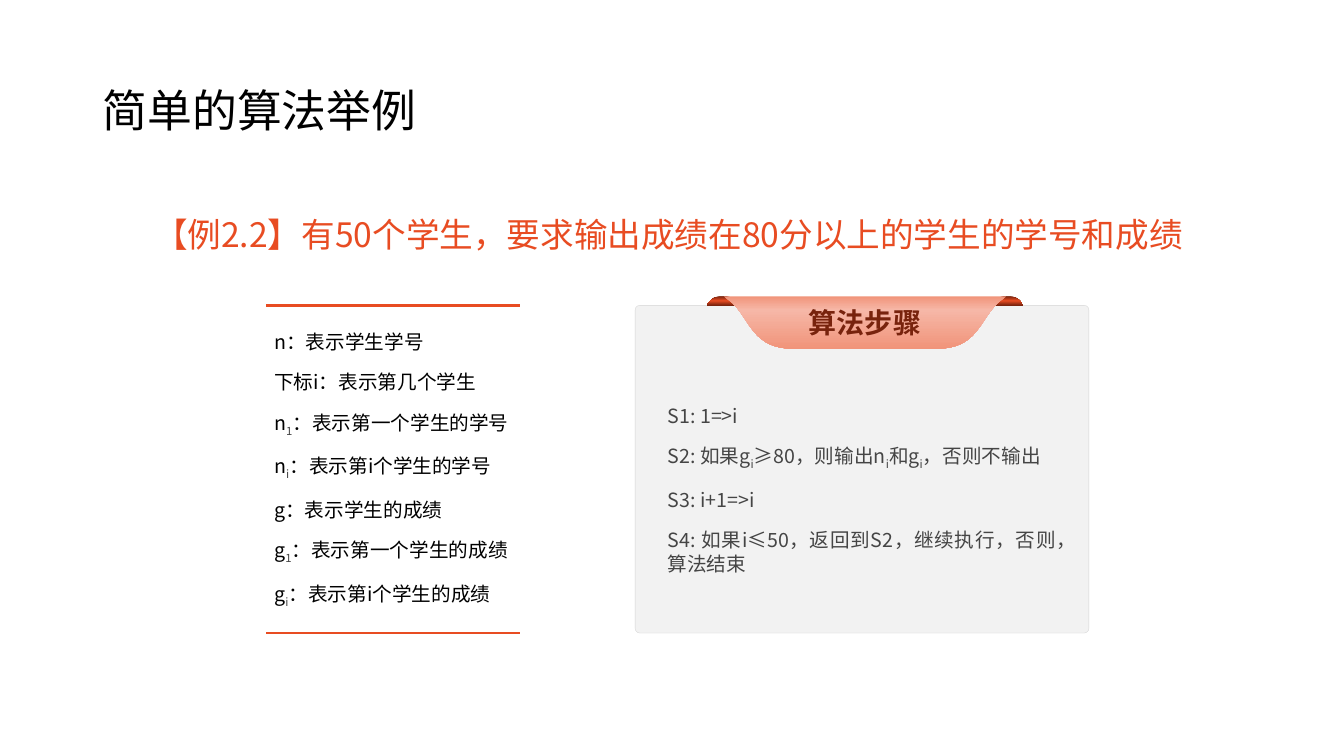
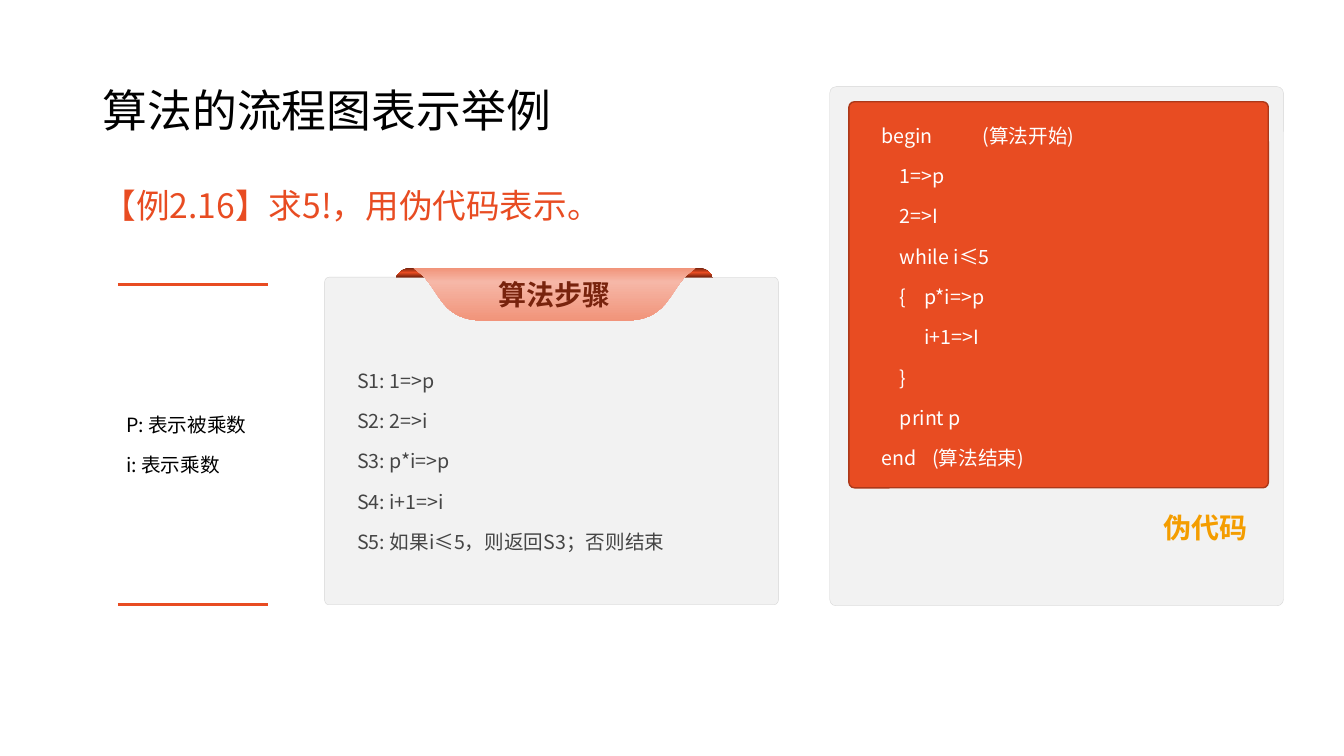
import lxml.etree
import pptx
import pptx.dml.color
import pptx.enum.shapes
import pptx.enum.text
import pptx.oxml.ns
import pptx.util

Inches = pptx.util.Inches
Pt = pptx.util.Pt
qn = pptx.oxml.ns.qn
ALIGN = pptx.enum.text.PP_ALIGN
ANCHOR = pptx.enum.text.MSO_ANCHOR

FONT = "Noto Sans CJK SC"
BLACK, WHITE, GREY = "000000", "FFFFFF", "454545"
RED, BROWN, RUST, AMBER = "E84C22", "78230D", "AC3819", "F49D00"
PANEL, EDGE = "F2F2F2", "D5D5D5"
ROLL = [(0, BROWN), (49, RED), (100, BROWN)]
RIBBON = [(0, "F1947A"), (26, "F6B7A7"), (100, "F1947A")]
CARD_W, CARD_H = 4.5, 3.25


def rgb(code):
    return pptx.dml.color.RGBColor.from_string(code)


def add_run(para, text, size, color, bold=False, sub=False):
    run = para.add_run()
    run.text = text
    font = run.font
    font.size, font.bold, font.name = Pt(size), bold, FONT
    font.color.rgb = rgb(color)
    props = run._r.get_or_add_rPr()
    lxml.etree.SubElement(props, qn("a:ea"), typeface=FONT)
    if sub:
        props.set("baseline", "-25000")


def set_frame(shape, anchor=ANCHOR.TOP, pads=(0.1, 0.05, 0.1, 0.05)):
    frame = shape.text_frame
    frame.word_wrap = True
    frame.vertical_anchor = anchor
    (frame.margin_left, frame.margin_top,
     frame.margin_right, frame.margin_bottom) = map(Inches, pads)
    return frame


def add_box(slide, x, y, w, h):
    return slide.shapes.add_textbox(Inches(x), Inches(y), Inches(w), Inches(h))


def write_line(shape, text, size, color, align=ALIGN.LEFT, bold=False,
               anchor=ANCHOR.TOP):
    para = set_frame(shape, anchor).paragraphs[0]
    para.alignment = align
    add_run(para, text, size, color, bold)
    return para


def write_list(frame, lines, color):
    """Write one paragraph a line; "_" lowers the next character.

    A line may be a tuple of text, left margin and first-line indent.
    """
    for i, line in enumerate(lines):
        text, left, first = line if isinstance(line, tuple) else (line, 0, 0)
        para = frame.add_paragraph() if i else frame.paragraphs[0]
        para.alignment = ALIGN.JUSTIFY
        para.space_before = para.space_after = Pt(6)
        props = para._p.get_or_add_pPr()
        props.set("marL", str(Inches(left)))
        props.set("indent", str(Inches(first)))
        head, *tails = text.split("_")
        add_run(para, head, 14, color)
        for tail in tails:
            add_run(para, tail[0], 14, GREY, sub=True)
            if tail[1:]:
                add_run(para, tail[1:], 14, color)


def add_title(slide, text):
    box = add_box(slide, 0.92, 0.4, 11.5, 1.45)
    para = write_line(box, text, 32, BLACK, anchor=ANCHOR.MIDDLE)
    para.line_spacing = 0.9


def add_task(slide, x, y, w, text):
    para = write_line(add_box(slide, x, y, w, 0.64), text, 24, RED)
    para.line_spacing = 1.2
    para.space_before = Pt(10)


def add_panel(slide, x, y, w, h, fill=PANEL, edge=EDGE, width=0.25):
    kind = pptx.enum.shapes.MSO_SHAPE.ROUNDED_RECTANGLE
    panel = slide.shapes.add_shape(
        kind, Inches(x), Inches(y), Inches(w), Inches(h))
    panel.adjustments[0] = 0.014
    panel.shadow.inherit = False
    panel.fill.solid()
    panel.fill.fore_color.rgb = rgb(fill)
    panel.line.color.rgb = rgb(edge)
    panel.line.width = Pt(width)
    return panel


def bend(a, b, c, d, steps=16):
    """Return points along a cubic curve from a to d."""
    def mix(t, i):
        u = 1 - t
        return (u ** 3 * a[i] + 3 * u * u * t * b[i]
                + 3 * u * t * t * c[i] + t ** 3 * d[i])
    return [(mix(n / steps, 0), mix(n / steps, 1)) for n in range(steps + 1)]


def add_mirror(slide, x, y, half, mid, stops):
    """Fill an outline made of its left half and that half mirrored at mid."""
    dots = half + [(2 * mid - px, py) for px, py in reversed(half)]
    dots = [(Inches(x + px), Inches(y + py)) for px, py in dots]
    pen = slide.shapes.build_freeform(*dots[0], scale=1.0)
    pen.add_line_segments(dots[1:], close=True)
    shape = pen.convert_to_shape()
    shape.shadow.inherit = False
    shape.line.fill.background()
    shape.fill.gradient()
    shape.fill.gradient_angle = 270
    ramp = shape._element.spPr.find(".//" + qn("a:gsLst"))
    for old in list(ramp):
        ramp.remove(old)
    for pos, color in stops:
        stop = lxml.etree.SubElement(ramp, qn("a:gs"), pos=str(pos * 1000))
        lxml.etree.SubElement(stop, qn("a:srgbClr"), val=color)
    return shape


def add_steps(slide, x, y, lines):
    card = add_panel(slide, x, y, CARD_W, CARD_H)
    frame = set_frame(card, ANCHOR.MIDDLE, (0.31, 0.79, 0.31, 0.39))
    write_list(frame, lines, GREY)
    top = -0.09
    dome = bend((0, 0), (0.03, -0.05), (0.07, top), (0.14, top))
    for left in (0.71, 3.53):
        add_mirror(slide, x + left, y, dome, 0.16, ROLL)
    side = [(0.88, top)] + bend(
        (0.97, -0.02), (1.15, 0.16), (1.17, 0.43), (1.58, 0.43))
    ribbon = add_mirror(slide, x, y, side, 2.28, RIBBON)
    write_line(ribbon, "算法步骤", 20, BROWN, ALIGN.CENTER, True, ANCHOR.MIDDLE)


def add_rule(slide, x, y, w):
    rule = slide.shapes.add_connector(
        pptx.enum.shapes.MSO_CONNECTOR.STRAIGHT,
        Inches(x), Inches(y), Inches(x + w), Inches(y))
    rule.line.color.rgb = rgb(RED)
    rule.line.width = Pt(2)
    lxml.etree.SubElement(rule._element.spPr, qn("a:effectLst"))


def add_key(slide, x, y, w, h, lines):
    """List the symbols between two rules."""
    for level in (y, y + h):
        add_rule(slide, x, level, w)
    box = add_box(slide, x, y, w, h)
    write_list(set_frame(box, ANCHOR.MIDDLE, (0.08,) * 4), lines, BLACK)


def add_code(slide, lines):
    add_panel(slide, 8.23, 0.86, CARD_W, 5.15)
    code = add_panel(slide, 8.42, 1.01, 4.16, 3.83, RED, RUST, 1)
    write_list(set_frame(code, pads=(0.31, 0.2, 0.31, 0.2)), lines, WHITE)
    label = add_box(slide, 11.44, 5.02, 1.14, 0.44)
    write_line(label, "伪代码", 20, AMBER, ALIGN.JUSTIFY, True)


def build_grades(slide):
    add_title(slide, "简单的算法举例")
    add_task(slide, 1.43, 1.99, 11.12,
             "【例2.2】有50个学生，要求输出成绩在80分以上的学生的学号和成绩")
    add_steps(slide, 6.3, 3.03, [
        "S1: 1=>i",
        "S2: 如果g_i≥80，则输出n_i和g_i，否则不输出",
        "S3: i+1=>i",
        "S4: 如果i≤50，返回到S2，继续执行，否则，算法结束",
    ])
    add_key(slide, 2.64, 3.03, 2.52, 3.25, [
        "n：表示学生学号",
        "下标i：表示第几个学生",
        "n_1：表示第一个学生的学号",
        "n_i：表示第i个学生的学号",
        "g：表示学生的成绩",
        "g_1：表示第一个学生的成绩",
        "g_i：表示第i个学生的成绩",
    ])


def build_product(slide):
    add_title(slide, "算法的流程图表示举例")
    add_task(slide, 0.92, 1.71, 9.09, "【例2.16】求5!，用伪代码表示。")
    add_steps(slide, 3.22, 2.75, [
        "S1: 1=>p",
        "S2: 2=>i",
        "S3: p*i=>p",
        "S4: i+1=>i",
        "S5: 如果i≤5，则返回S3；否则结束",
    ])
    add_key(slide, 1.17, 2.82, 1.49, 3.18, ["P: 表示被乘数", "i: 表示乘数"])
    near, far = 0.18, 0.42
    add_code(slide, [
        "begin\t(算法开始)",
        ("1=>p", near, 0),
        ("2=>I", near, 0),
        ("while i≤5", near, 0),
        ("{\tp*i=>p", far, near - far),
        ("i+1=>I", far, 0),
        ("}", near, 0),
        ("print p", near, 0),
        "end\t(算法结束)",
    ])


def main():
    deck = pptx.Presentation()
    deck.slide_width, deck.slide_height = Inches(13.33), Inches(7.5)
    for build in (build_grades, build_product):
        build(deck.slides.add_slide(deck.slide_layouts[6]))
    deck.save("out.pptx")


if __name__ == "__main__":
    main()
